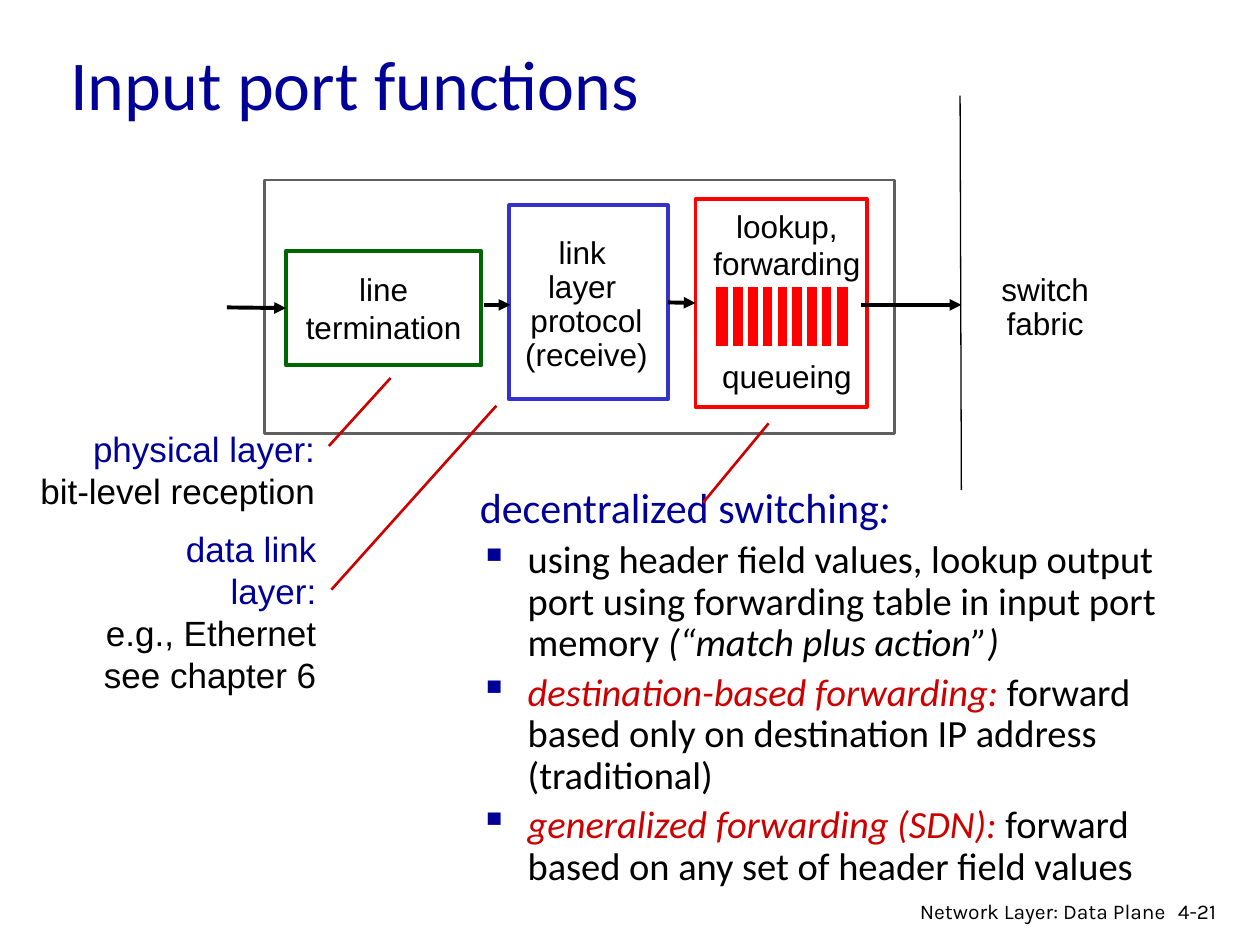
from dataclasses import dataclass
from typing import Optional

from lxml.etree import SubElement
from pptx import Presentation
from pptx.dml.color import RGBColor
from pptx.enum.shapes import MSO_CONNECTOR as Connector, MSO_SHAPE as Shape
from pptx.enum.text import MSO_ANCHOR as Anchor, PP_ALIGN as Align
from pptx.oxml.ns import qn
from pptx.util import Inches, Pt

COLORS = {
    "black": "000000", "white": "FFFFFF", "navy": "000099", "crimson": "CC0000",
    "frame": "5F5F5F", "green": "006600", "blue": "3333CC", "red": "FF0000",
}


@dataclass
class Block:
    """A rectangle with optional outline, in inches and points."""
    left: float
    top: float
    width: float
    height: float
    line: Optional[str] = None
    weight: float = 2.25
    fill: str = "white"


@dataclass
class Line:
    """A straight line, with the blocks it is joined to."""
    start: tuple
    end: tuple
    color: str = "black"
    weight: float = 2.25
    arrow: bool = False
    source: Optional[str] = None
    target: Optional[str] = None


@dataclass
class Run:
    text: str
    color: str = "black"
    italic: bool = False
    size: Optional[float] = None


@dataclass
class Label:
    """Text at left, top, width, height; each paragraph is a list of runs."""
    area: tuple
    paragraphs: list
    format: dict


def rgb(name: str) -> RGBColor:
    return RGBColor.from_string(COLORS[name])


def add_block(shapes, block: Block):
    box = shapes.add_shape(Shape.RECTANGLE, Inches(block.left), Inches(block.top),
                           Inches(block.width), Inches(block.height))
    box.shadow.inherit = False
    box.fill.solid()
    box.fill.fore_color.rgb = rgb(block.fill)
    if block.line:
        box.line.color.rgb = rgb(block.line)
        box.line.width = Pt(block.weight)
    else:
        box.line.fill.background()
    return box


def add_line(shapes, line: Line, boxes: dict) -> None:
    link = shapes.add_connector(Connector.STRAIGHT, *map(Inches, line.start + line.end))
    if line.source:
        link.begin_connect(boxes[line.source], 3)
    if line.target:
        link.end_connect(boxes[line.target], 1)
    link.line.color.rgb = rgb(line.color)
    link.line.width = Pt(line.weight)
    if line.arrow:
        SubElement(link.line._get_or_add_ln(), qn("a:tailEnd"), type="triangle")
    SubElement(link._element.spPr, qn("a:effectLst"))


def add_bullet(para) -> None:
    props = para._p.get_or_add_pPr()
    color = SubElement(props, qn("a:buClr"))
    SubElement(color, qn("a:srgbClr"), val=COLORS["navy"])
    SubElement(props, qn("a:buChar"), char="▪")


def add_text(box, paragraphs: list, *, size: float, font: str = "Arial", align=Align.LEFT,
             anchor=Anchor.TOP, wrap: bool = False, spacing: Optional[float] = None,
             before: Optional[dict] = None, indent: float = 0, bullets: bool = False) -> None:
    """Write paragraphs; before maps a paragraph number to its space in points."""
    frame = box.text_frame
    frame.word_wrap = wrap
    frame.vertical_anchor = anchor
    for number, runs in enumerate(paragraphs):
        para = frame.paragraphs[0] if number == 0 else frame.add_paragraph()
        props = para._p.get_or_add_pPr()
        if indent:
            props.set("marL", str(Inches(indent)))
            props.set("indent", str(-Inches(indent)))
        if bullets and number > 0:
            add_bullet(para)
        para.alignment = align
        if spacing:
            para.line_spacing = spacing
        if before and number in before:
            para.space_before = Pt(before[number])
        for run in runs:
            span = para.add_run()
            span.text = run.text
            span.font.name = font
            span.font.size = Pt(run.size or size)
            span.font.italic = run.italic
            span.font.color.rgb = rgb(run.color)


def plain(*lines: str) -> list:
    return [[Run(line)] for line in lines]


CENTERED = dict(size=18, align=Align.CENTER, anchor=Anchor.MIDDLE)
CALLOUT = dict(size=20, align=Align.RIGHT)

BLOCKS = {
    "port": Block(2.1, 1.43, 5, 2.01, "frame", 1.5),
    "termination": Block(2.27, 1.99, 1.55, 0.91, "green"),
    "link": Block(4.04, 1.63, 1.26, 1.54, "blue"),
    "lookup": Block(5.52, 1.58, 1.36, 1.65, "red"),
    "link text": Block(4.08, 1.97, 1.15, 0.91),
    "fabric": Block(7.72, 1.99, 1.15, 0.91),
}
BLOCK_TEXTS = {
    "termination": (plain("line", "termination"), CENTERED),
    "link text": (plain("link ", "layer ", "protocol", "(receive)"), CENTERED | {"spacing": 0.9}),
    "fabric": (plain("switch", "fabric"), CENTERED | {"spacing": 0.9}),
}
LINES = [
    # Flow through the port
    Line((1.8, 2.44), (2.27, 2.44), arrow=True, target="termination"),
    Line((3.84, 2.42), (4.05, 2.42), arrow=True),
    Line((5.3, 2.4), (5.52, 2.4), arrow=True, source="link", target="lookup"),
    Line((6.83, 2.42), (7.63, 2.42), arrow=True),
    # Edge of the switch fabric
    Line((7.62, 0.76), (7.63, 3.89), weight=0.75),
    # Leaders to the explanations
    Line((2.61, 3.54), (3.1, 3), "crimson", 1.5),
    Line((2.63, 4.68), (3.94, 3.22), "crimson", 1.5),
    Line((5.58, 3.99), (6.1, 3.36), "crimson", 1.5),
]
LABELS = [
    Label((5.56, 1.59, 1.37, 1.6), plain("lookup,", "forwarding", "queueing"),
          dict(size=18, align=Align.CENTER, before={2: 43})),
    Label((0.46, 0.32, 8.5, 0.67), [[Run("Input port functions", "navy")]],
          dict(size=40, font="Calibri", anchor=Anchor.MIDDLE, wrap=True)),
    Label((3.71, 3.82, 5.97, 2.92), [
        [Run("decentralized switching", "navy", size=24), Run(":", "navy", True, 24)],
        [Run("using header field values, lookup output port using forwarding table "
             "in input port memory "), Run("(“match plus action”)", italic=True)],
        [Run("destination-based forwarding: ", "crimson", True),
         Run("forward based only on destination IP address (traditional)")],
        [Run("generalized forwarding (SDN): ", "crimson", True),
         Run("forward based on any set of header field values")],
    ], dict(size=22, font="Calibri", wrap=True, spacing=0.9, indent=0.38, bullets=True,
            before={1: 4.4, 2: 4.4, 3: 4.4})),
    Label((0.22, 3.34, 2.38, 0.77),
          [[Run("physical layer:", "navy")], *plain("bit-level reception")], CALLOUT),
    Label((0.62, 4.14, 1.99, 1.1),
          [[Run("data link layer:", "navy")], *plain("e.g., Ethernet", "see chapter 6")], CALLOUT),
    Label((9.25, 7.08, 0.61, 0.3), plain("4-21"), dict(size=12, font="Karla", wrap=True)),
    Label((6.97, 7.08, 2.38, 0.26), plain("Network Layer: Data Plane"),
          dict(size=12, font="Karla", align=Align.RIGHT, wrap=True)),
]


def add_queue(shapes) -> None:
    """A red bar cut into slots by evenly spaced white lines."""
    queue = shapes.add_group_shape().shapes
    add_block(queue, Block(5.66, 2.26, 1.09, 0.51, "white", 3, "red"))
    first, last, count = 5.8, 6.62, 8
    for slot in range(count):
        x = first + slot * (last - first) / (count - 1)
        add_line(queue, Line((x, 2.26), (x, 2.76), "white", 3), {})


def main() -> None:
    deck = Presentation()
    deck.slide_width, deck.slide_height = Inches(10), Inches(7.5)
    page = deck.slides.add_slide(deck.slide_layouts[6])
    shapes = page.shapes

    boxes = {name: add_block(shapes, block) for name, block in BLOCKS.items()}
    for name, (paragraphs, style) in BLOCK_TEXTS.items():
        add_text(boxes[name], paragraphs, **style)
    for label in LABELS:
        add_text(shapes.add_textbox(*map(Inches, label.area)), label.paragraphs, **label.format)
    add_queue(shapes)
    for line in LINES:
        add_line(shapes, line, boxes)

    deck.save("out.pptx")


if __name__ == "__main__":
    main()
